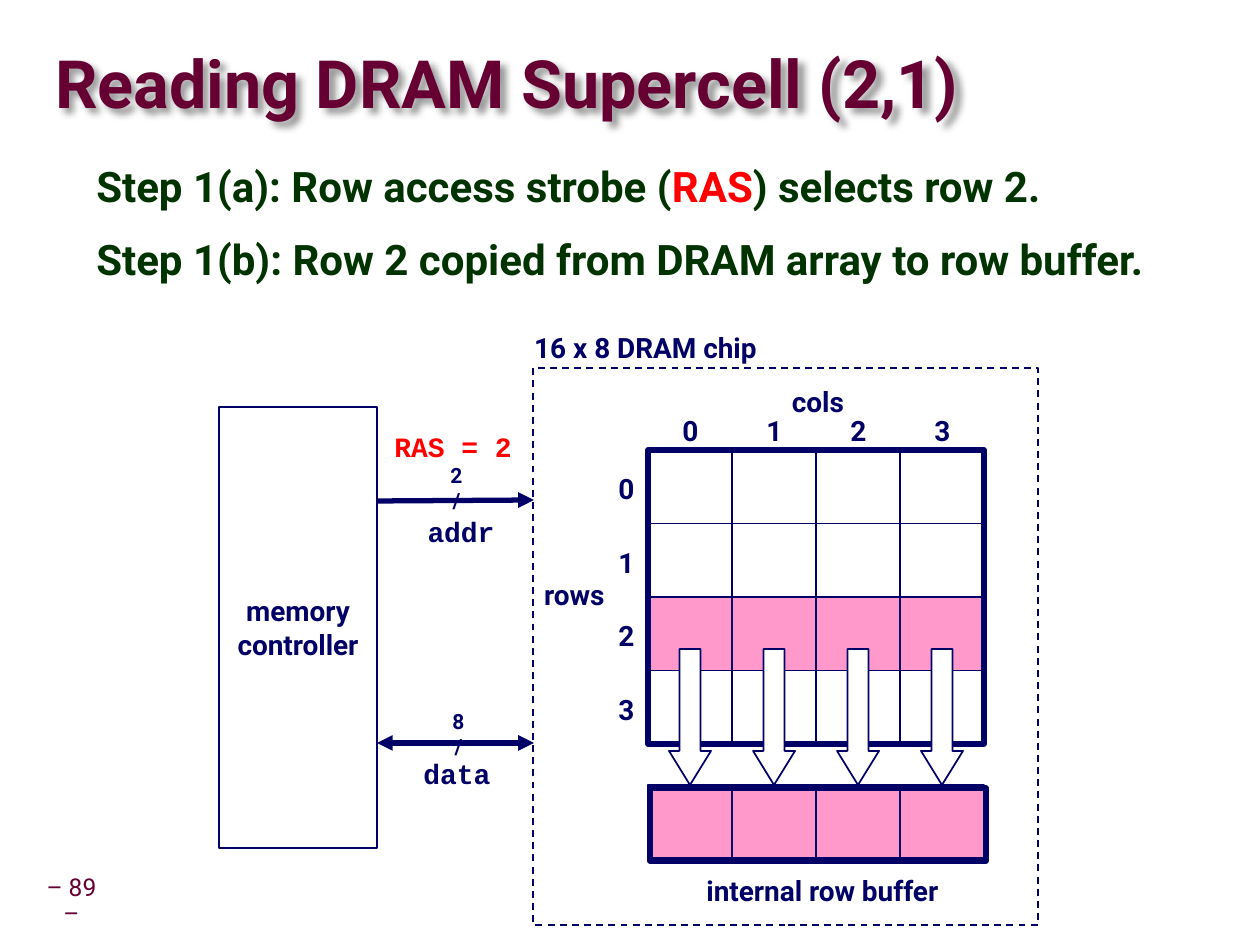
import dataclasses

import lxml.etree
import pptx
import pptx.dml.color
import pptx.enum.dml
import pptx.enum.shapes
import pptx.enum.text
import pptx.oxml.ns
import pptx.util

PX = pptx.util.Inches(1) / 126
SHAPE = pptx.enum.shapes.MSO_SHAPE
ALIGN = pptx.enum.text.PP_ALIGN
ANCHOR = pptx.enum.text.MSO_ANCHOR


class Theme:
    NAVY, PLUM, GREEN = "000066", "660033", "003300"
    RED, PINK, WHITE = "FF0000", "FF99CC", "FFFFFF"
    SANS, MONO = "Roboto", "Courier New"
    TITLE, STEP, LABEL, NUMBER, SMALL = 38, 24, 16, 14, 12
    THIN, THICK = 1, 3


@dataclasses.dataclass
class Box:
    left: float
    top: float
    width: float
    height: float

    def inside(self, left, top, width, height):
        return Box(self.left + left, self.top + top, width, height)

    def emu(self):
        return [emu(value) for value in (self.left, self.top, self.width, self.height)]


def emu(px):
    return round(px * PX)


def rgb(color):
    return pptx.dml.color.RGBColor.from_string(color)


def set_format(target, values):
    for name, value in values.items():
        setattr(target, name, value)


def add_xml(parent, tag, **attributes):
    return lxml.etree.SubElement(parent, pptx.oxml.ns.qn(tag), attributes)


def write_text(shape, lines, size, color=Theme.NAVY, font=Theme.SANS, bold=True,
               frame_format=None, paragraph_format=None):
    """Each line is a list of (text, color) runs, or a plain string."""
    frame = shape.text_frame
    set_format(frame, {"word_wrap": False, "vertical_anchor": ANCHOR.MIDDLE,
                       **(frame_format or {})})
    for index, line in enumerate(lines):
        paragraph = frame.paragraphs[0] if index == 0 else frame.add_paragraph()
        set_format(paragraph, {"alignment": ALIGN.CENTER, **(paragraph_format or {})})
        for part, part_color in [(line, color)] if isinstance(line, str) else line:
            if index == 0 and "\v" in part:
                paragraph.text = part
            else:
                paragraph.add_run().text = part
            for run in paragraph.runs if "\v" in part else paragraph.runs[-1:]:
                set_format(run.font, {"name": font, "bold": bold,
                                      "size": pptx.util.Pt(size)})
                run.font.color.rgb = rgb(part_color)


def add_text(shapes, box, lines, size=Theme.LABEL, **options):
    shape = shapes.add_textbox(*box.emu())
    write_text(shape, lines, size, **options)
    return shape


def add_shape(shapes, box, kind=SHAPE.RECTANGLE, fill=None, width=Theme.THIN):
    shape = shapes.add_shape(kind, *box.emu())
    shape.shadow.inherit = False
    if fill:
        shape.fill.solid()
        shape.fill.fore_color.rgb = rgb(fill)
    else:
        shape.fill.background()
    shape.line.color.rgb = rgb(Theme.NAVY)
    shape.line.width = pptx.util.Pt(width)
    return shape


def add_arrow(shapes, box, start, end, both_ways=False):
    points = [emu(value) for x, y in (start, end) for value in (box.left + x, box.top + y)]
    arrow = shapes.add_connector(pptx.enum.shapes.MSO_CONNECTOR.STRAIGHT, *points)
    arrow.line.color.rgb = rgb(Theme.NAVY)
    arrow.line.width = pptx.util.Pt(Theme.THICK)
    line = arrow.line._get_or_add_ln()
    if both_ways:
        add_xml(line, "a:headEnd", type="triangle")
    add_xml(line, "a:tailEnd", type="triangle")
    add_xml(arrow._element.spPr, "a:effectLst")


def draw_title(shapes, box):
    margins = dict.fromkeys(("margin_left", "margin_top", "margin_right", "margin_bottom"), 0)
    title = add_text(shapes, box, ["Reading DRAM Supercell (2,1)"], Theme.TITLE,
                     color=Theme.PLUM, frame_format={**margins, "word_wrap": True},
                     paragraph_format={"alignment": ALIGN.LEFT, "line_spacing": 0.87})
    # Soft shadow under the letters
    effects = add_xml(title._element.spPr, "a:effectLst")
    shadow = add_xml(effects, "a:outerShdw", blurRad="50800", dist="50800",
                     dir="2700000", algn="tl", rotWithShape="0")
    color = add_xml(shadow, "a:srgbClr", val="000000")
    add_xml(color, "a:alpha", val="40000")


def draw_steps(shapes, box):
    green = Theme.GREEN
    steps = [
        [("Step 1(a): Row access strobe (", green), ("RAS", Theme.RED),
         (") selects row 2.", green)],
        [("Step 1(b): Row 2 copied from DRAM array to row buffer.", green)],
    ]
    for index, step in enumerate(steps):
        add_text(shapes, box.inside(0, index * 73, box.width, 73), [step], Theme.STEP,
                 frame_format={"word_wrap": True, "vertical_anchor": ANCHOR.TOP},
                 paragraph_format={"alignment": ALIGN.LEFT, "line_spacing": 0.95})


def draw_controller(shapes, box):
    controller = add_shape(shapes, box, fill=Theme.WHITE)
    write_text(controller, ["memory", "controller"], Theme.LABEL)


def draw_buses(shapes, box):
    # Address bus
    add_text(shapes, box.inside(4, 0, 144, 47), ["RAS = 2"],
             color=Theme.RED, font=Theme.MONO)
    add_arrow(shapes, box, (0, 78), (box.width, 77))
    # Data bus
    add_arrow(shapes, box, (0, 320), (box.width, 320), both_ways=True)
    # Names and widths in bits
    for name, name_left, name_top, bits, bits_left, bits_top in (
            ("addr", 38, 85, "2", 61, 33), ("data", 34, 327, "8", 63, 279)):
        add_text(shapes, box.inside(name_left, name_top, 92, 47), [name], font=Theme.MONO)
        add_text(shapes, box.inside(bits_left, bits_top, 37, 63), [bits, "/"], Theme.SMALL)


def draw_cells(shapes, box, fill=None):
    """One row of four cells."""
    pitch = box.width / 4
    for column in range(4):
        add_shape(shapes, box.inside(column * pitch, 0, pitch, box.height), fill=fill)


def draw_array(shapes, box, selected=2):
    column_pitch, row_pitch = box.width / 4, box.height / 4
    # Cells, with the selected row last so that its edges stay on top
    for row in sorted(range(4), key=lambda row: row == selected):
        target = shapes.add_group_shape().shapes if row == selected else shapes
        draw_cells(target, box.inside(0, row * row_pitch, box.width, row_pitch),
                   Theme.PINK if row == selected else Theme.WHITE)
    add_shape(shapes, box, width=Theme.THICK)
    # Column and row numbers
    for index in range(4):
        add_text(shapes, box.inside(index * column_pitch + 22, -43, 40, 47), [str(index)])
        add_text(shapes, box.inside(-42, index * row_pitch + 15, 40, 47), [str(index)])


def draw_row_buffer(shapes, box):
    add_shape(shapes, box.inside(2, 3, box.width, box.height),
              fill=Theme.PINK, width=Theme.THICK)
    draw_cells(shapes, box)


def draw_copy_arrows(shapes, box):
    group = shapes.add_group_shape().shapes
    pitch = box.width / 4
    for column in range(4):
        arrow = add_shape(group, box.inside(column * pitch + 21, 0, 42, box.height),
                          SHAPE.DOWN_ARROW, Theme.WHITE)
        arrow.adjustments[0], arrow.adjustments[1] = 0.5, 0.81


def draw_chip(shapes, box):
    outline = add_shape(shapes, box)
    outline.line.dash_style = pptx.enum.dml.MSO_LINE.DASH
    for text, place in (("16 x 8 DRAM chip", (-18, -44, 261, 47)),
                        ("cols", (244, 10, 82, 47)),
                        ("rows", (-4, 203, 91, 47)),
                        ("internal row buffer", (154, 499, 271, 47))):
        add_text(shapes, box.inside(*place), [text])
    draw_row_buffer(shapes, box.inside(115, 417, 336, 73))
    draw_array(shapes, box.inside(115, 82, 336, 294))
    draw_copy_arrows(shapes, box.inside(115, 281, 336, 136))


def draw_page_number(shapes, box):
    add_text(shapes, box, ["– 89\v–"], Theme.NUMBER, color=Theme.PLUM, bold=False,
             paragraph_format={"line_spacing": 0.9})


def main():
    presentation = pptx.Presentation()
    set_format(presentation, {"slide_width": emu(1260), "slide_height": emu(945)})
    shapes = presentation.slides.add_slide(presentation.slide_layouts[6]).shapes
    draw_page_number(shapes, Box(30, 882, 83, 39))
    draw_title(shapes, Box(55, 34, 1201, 107))
    draw_steps(shapes, Box(84, 158, 1187, 146))
    draw_controller(shapes, Box(219, 407, 158, 441))
    draw_buses(shapes, Box(377, 423, 157, 374))
    draw_chip(shapes, Box(533, 368, 505, 557))
    presentation.save("out.pptx")


if __name__ == "__main__":
    main()
